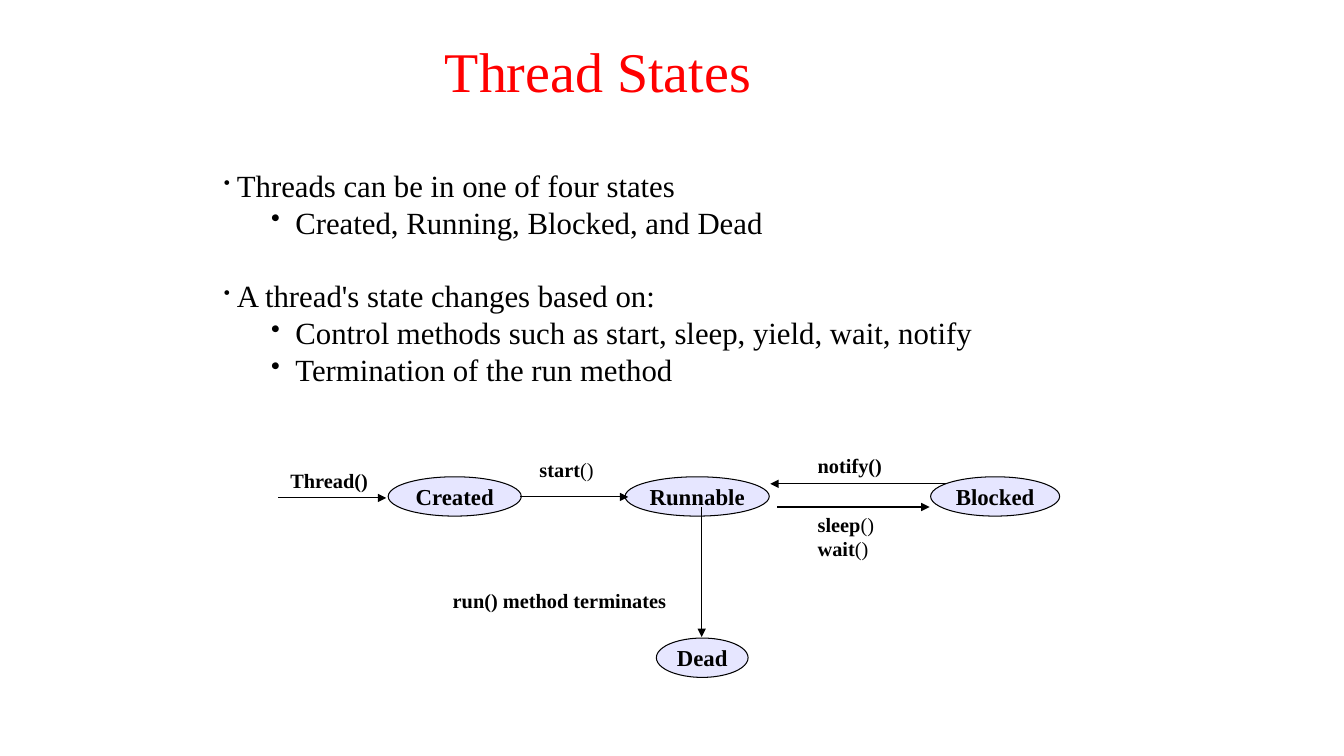
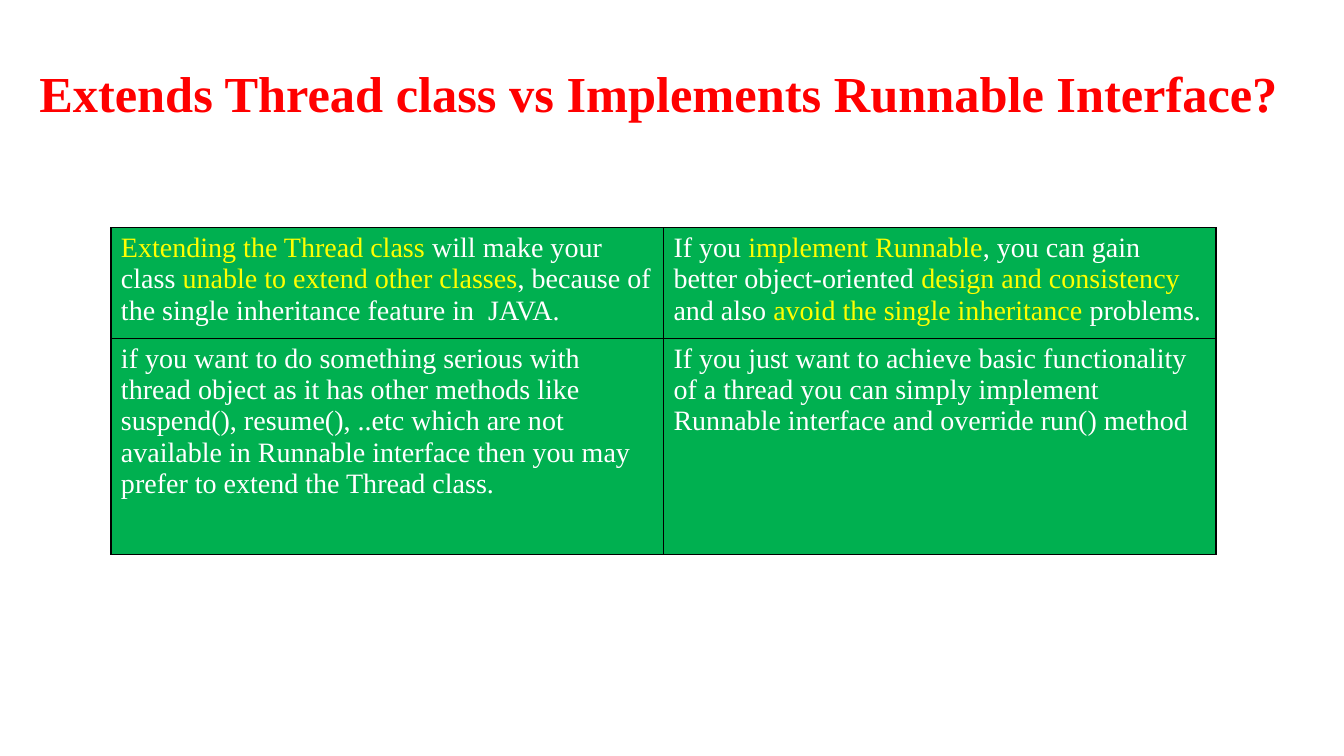
from pptx import Presentation
from pptx.dml.color import RGBColor
from pptx.enum.shapes import MSO_CONNECTOR, MSO_SHAPE
from pptx.enum.text import MSO_ANCHOR, PP_ALIGN
from pptx.oxml.ns import qn
from pptx.util import Inches, Pt
from lxml import etree

STRAIGHT = MSO_CONNECTOR.STRAIGHT
ELLIPSE = MSO_SHAPE.OVAL
MIDDLE = MSO_ANCHOR.MIDDLE
LEFT, CENTER = PP_ALIGN.LEFT, PP_ALIGN.CENTER

FONT = "Times New Roman"
BLACK, WHITE, RED = "000000", "FFFFFF", "FF0000"
YELLOW, GREEN, LAVENDER = "FFFF00", "00B050", "E6E6FF"


def rgb(value):
    return RGBColor.from_string(value)


def write(frame, lines, size, color=BLACK, bold=False, align=LEFT, accent=None):
    """Fill a frame; every second part between bars is accented or not bold."""
    for number, line in enumerate(lines):
        paragraph = frame.add_paragraph() if number else frame.paragraphs[0]
        paragraph.alignment = align
        font = paragraph.font
        font.name, font.size, font.bold = FONT, Pt(size), bold
        font.color.rgb = rgb(color)
        for position, part in enumerate(line.split("|")):
            if not part:
                continue
            run = paragraph.add_run()
            run.text = part
            if position % 2 and accent:
                run.font.color.rgb = rgb(accent)
            elif position % 2:
                run.font.bold = False


prs = Presentation()
prs.slide_width, prs.slide_height = Inches(13.33), Inches(7.5)

# Titles
titles = [
    ("Thread States", (0.84, 0.36, 10.18, 0.67), 40, False, CENTER),
    ("Extends Thread class vs Implements Runnable Interface?",
     (0.39, 0.45, 12.66, 0.93), 36, True, LEFT),
]
slides = []
for title, box, size, bold, align in titles:
    slide = prs.slides.add_slide(prs.slide_layouts[6])
    frame = slide.shapes.add_textbox(*map(Inches, box)).text_frame
    frame.margin_left = frame.margin_right = frame.margin_top = frame.margin_bottom = 0
    frame.word_wrap = True
    frame.vertical_anchor = MIDDLE
    write(frame, [title], size, RED, bold, align)
    slides.append(slide)
states_slide, comparison_slide = slides

# Bullet list: level and text
points = [
    (0, "Threads can be in one of four states"),
    (1, "Created, Running, Blocked, and Dead"),
    (0, "A thread's state changes based on:"),
    (1, "Control methods such as start, sleep, yield, wait, notify"),
    (1, "Termination of the run method"),
]
bullet_styles = [(0.13, 0.13, 59), (0.71, 0.24, 85)]  # indent, hanging, percent
LINE_PITCH = 26.4

frame = states_slide.shapes.add_textbox(
    Inches(2.22), Inches(1.65), Inches(8.6), Inches(2.3)).text_frame
frame.margin_left = frame.margin_right = frame.margin_top = frame.margin_bottom = 0
frame.word_wrap = True
write(frame, [text for level, text in points], 22)
for number, (level, text) in enumerate(points):
    paragraph = frame.paragraphs[number]
    paragraph.level = level
    paragraph.line_spacing = Pt(LINE_PITCH)
    if number and level == 0:
        paragraph.space_before = Pt(LINE_PITCH)
    indent, hanging, percent = bullet_styles[level]
    properties = paragraph._p.get_or_add_pPr()
    properties.set("marL", str(Inches(indent)))
    properties.set("indent", str(-Inches(hanging)))
    defaults = properties.find(qn("a:defRPr"))
    bullet_size = etree.Element(qn("a:buSzPct"), val=str(percent * 1000))
    bullet_char = etree.Element(qn("a:buChar"), char="•")
    defaults.addprevious(bullet_size)
    defaults.addprevious(bullet_char)

# State ellipses: left, top, width
STATE_HEIGHT = 0.39
states = [
    ("Created", 3.85, 4.73, 1.32),
    ("Runnable", 6.2, 4.73, 1.43),
    ("Blocked", 9.23, 4.73, 1.28),
    ("Dead", 6.51, 6.33, 0.91),
]
for name, left, top, width in states:
    state = states_slide.shapes.add_shape(
        ELLIPSE, Inches(left), Inches(top), Inches(width), Inches(STATE_HEIGHT))
    state.shadow.inherit = False
    state.fill.solid()
    state.fill.fore_color.rgb = rgb(LAVENDER)
    state.line.color.rgb = rgb(BLACK)
    state.line.width = Pt(0.75)
    frame = state.text_frame
    frame.margin_left = frame.margin_right = frame.margin_top = frame.margin_bottom = 0
    frame.word_wrap = False
    frame.vertical_anchor = MIDDLE
    write(frame, [name], 16.3, bold=True, align=CENTER)

# Transition arrows: start and end points
transitions = [
    (2.76, 4.94, 3.83, 4.94),
    (5.16, 4.93, 6.23, 4.93),
    (9.38, 4.8, 7.64, 4.8),
    (7.71, 5.03, 9.22, 5.03),
    (6.96, 5.03, 6.96, 6.32),
]
for ends in transitions:
    arrow = states_slide.shapes.add_connector(STRAIGHT, *map(Inches, ends))
    arrow.line.color.rgb = rgb(BLACK)
    arrow.line.width = Pt(0.75)
    properties = arrow.element.spPr
    etree.SubElement(properties.find(qn("a:ln")), qn("a:tailEnd"),
                     type="triangle", w="med", len="med")
    etree.SubElement(properties, qn("a:effectLst"))

# Transition labels
labels = [
    (["Thread()"], 2.88, 4.65, 0.86, 0.24),
    (["start|()"], 5.35, 4.54, 0.61, 0.24),
    (["notify()"], 8.11, 4.5, 0.72, 0.24),
    (["sleep|()", "wait|()"], 8.11, 5.08, 0.67, 0.49),
    (["run() method terminates"], 4.49, 5.84, 2.88, 0.24),
]
for lines, *box in labels:
    frame = states_slide.shapes.add_textbox(*map(Inches, box)).text_frame
    frame.margin_left = frame.margin_right = frame.margin_top = frame.margin_bottom = 0
    frame.word_wrap = len(lines[0]) > 10
    write(frame, lines, 14.5, bold=True)

# Comparison table
comparison = [
    ["|Extending the Thread class |will make your class |unable to extend other classes|"
     ", because of the single inheritance feature in \u00a0JAVA.",
     "If you |implement Runnable|, you can gain better object-oriented "
     "|design and consistency |and also |avoid the single inheritance |problems."],
    ["if you want to do something serious with thread object as it has other methods like "
     "suspend(), resume(), ..etc which are not available in Runnable interface then you may "
     "prefer to extend the Thread class.",
     "If you just want to achieve basic functionality of a thread you can simply implement "
     "Runnable interface and override run() method"],
]
row_heights = [1.02, 2.14]
table = comparison_slide.shapes.add_table(
    2, 2, Inches(1.1), Inches(2.26), Inches(10.96), Inches(sum(row_heights))).table
table.first_row = table.horz_banding = False
for row, (texts, height) in enumerate(zip(comparison, row_heights)):
    table.rows[row].height = Inches(height)
    for column, text in enumerate(texts):
        cell = table.cell(row, column)
        cell.fill.solid()
        cell.fill.fore_color.rgb = rgb(GREEN)
        write(cell.text_frame, [text], 20, WHITE, accent=YELLOW)
        properties = cell._tc.get_or_add_tcPr()
        for position, side in enumerate(("lnL", "lnR", "lnT", "lnB")):
            border = etree.Element(qn(f"a:{side}"), w=str(Pt(1)))
            fill = etree.SubElement(border, qn("a:solidFill"))
            etree.SubElement(fill, qn("a:srgbClr"), val=BLACK)
            properties.insert(position, border)

prs.save("out.pptx")
